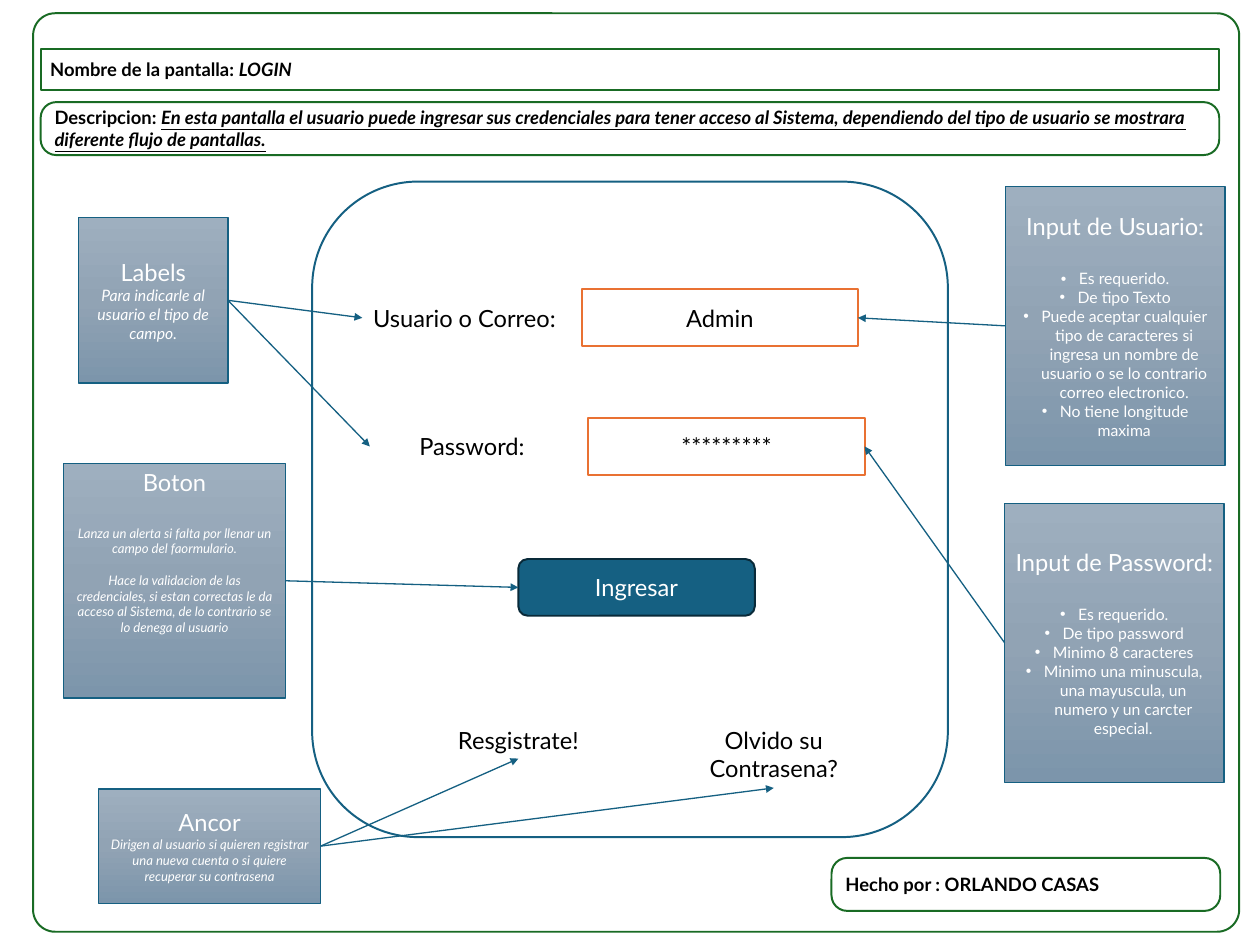
from copy import deepcopy
from dataclasses import dataclass

from lxml import etree
from pptx import Presentation
from pptx import util as u
from pptx.dml.color import RGBColor
from pptx.enum import shapes, text
from pptx.oxml.ns import qn


@dataclass(frozen=True)
class Theme:
    font: str = "Lato"
    white: str = "FFFFFF"
    black: str = "000000"
    green: str = "196B24"
    blue: str = "156082"
    navy: str = "092A39"
    orange: str = "E97132"
    note_gradient: tuple = ("9EAFBF", "91A3B4", "7C95AB")
    heading: float = 18
    banner: float = 14
    listing: float = 12
    small: float = 10
    border: float = 1.5
    thin: float = 1


THEME = Theme()
RECT = shapes.MSO_SHAPE.RECTANGLE
ROUND = shapes.MSO_SHAPE.ROUNDED_RECTANGLE
CENTER, LEFT = text.PP_ALIGN.CENTER, text.PP_ALIGN.LEFT
MIDDLE, TOP = text.MSO_ANCHOR.MIDDLE, text.MSO_ANCHOR.TOP
TOP_SITE, LEFT_SITE, BOTTOM_SITE, RIGHT_SITE = range(4)
BANNER_CORNER = 0.296


def apply(target, formats):
    for name, value in formats.items():
        setattr(target, name, value)


def place(shape, box):
    apply(shape, dict(zip(("left", "top", "width", "height"), map(u.Inches, box))))


def outline(shape, color, width):
    shape.line.color.rgb = RGBColor.from_string(color)
    shape.line.width = u.Pt(width)


def add_panel(slide, box, kind, line, fill=THEME.white, corner=None):
    panel = slide.shapes.add_shape(kind, *map(u.Inches, box))
    panel.shadow.inherit = False
    panel.fill.solid()
    panel.fill.fore_color.rgb = RGBColor.from_string(fill)
    outline(panel, line, THEME.border)
    if corner is not None:
        panel.adjustments[0] = corner
    return panel


def write(paragraph, runs, size, color, align=CENTER, after=0):
    """Fill a paragraph with (wording, font formats) runs."""
    apply(paragraph, {"alignment": align, "space_before": u.Pt(0),
                      "space_after": u.Pt(after)})
    for wording, formats in runs:
        run = paragraph.add_run()
        run.text = wording
        apply(run.font, {"name": THEME.font, "size": u.Pt(size), **formats})
        run.font.color.rgb = RGBColor.from_string(color)


def set_frame(shape, anchor=MIDDLE, fit=text.MSO_AUTO_SIZE.NONE):
    apply(shape.text_frame, {"word_wrap": True, "auto_size": fit,
                             "vertical_anchor": anchor})


def set_bullet(paragraph, bulleted):
    indent = u.Inches(0.19) if bulleted else 0
    properties = paragraph._p.get_or_add_pPr()
    properties.set("marL", str(indent))
    properties.set("indent", str(-indent))
    if bulleted:
        etree.SubElement(properties, qn("a:buChar")).set("char", "•")
    else:
        etree.SubElement(properties, qn("a:buNone"))


# Banners: screen name, description and author
def build_banner(shape, runs):
    set_frame(shape)
    write(shape.text_frame.paragraphs[0], runs, THEME.banner, THEME.black, LEFT)


def build_title(title, box, runs):
    place(title, box)
    geometry = etree.SubElement(title._element.spPr, qn("a:prstGeom"), prst="roundRect")
    guides = etree.SubElement(geometry, qn("a:avLst"))
    etree.SubElement(guides, qn("a:gd"), name="adj",
                     fmla=f"val {round(BANNER_CORNER * 100000)}")
    title.fill.solid()
    title.fill.fore_color.rgb = RGBColor.from_string(THEME.white)
    outline(title, THEME.green, THEME.border)
    build_banner(title, runs)


# Login screen mock-up
def build_login(slide, box):
    left, top = box[:2]
    add_panel(slide, box, ROUND, THEME.blue)

    def label(wording, x, y, height=0.4):
        caption = slide.shapes.add_textbox(
            *map(u.Inches, (left + x, top + y, 2.16, height)))
        set_frame(caption, TOP, text.MSO_AUTO_SIZE.SHAPE_TO_FIT_TEXT)
        write(caption.text_frame.paragraphs[0], [(wording, {})],
              THEME.heading, THEME.black)
        return caption

    def control(wording, x, y, width, kind, line, fill, color):
        field = add_panel(slide, (left + x, top + y, width, 0.6), kind, line, fill)
        set_frame(field)
        write(field.text_frame.paragraphs[0], [(wording, {})], THEME.heading, color)
        return field

    entry = (2.92, RECT, THEME.orange, THEME.white, THEME.black)
    return {
        "user_label": label("Usuario o Correo:", 0.53, 1.24),
        "user": control("Admin", 2.85, 1.14, *entry),
        "password_label": label("Password:", 0.61, 2.6),
        "password": control("*********", 2.92, 2.5, *entry),
        "enter": control("Ingresar", 2.18, 3.99, 2.5, ROUND,
                         THEME.navy, THEME.blue, THEME.white),
        "register": label("Resgistrate!", 1.1, 5.7),
        "forgot": label("Olvido su Contrasena?", 3.8, 5.7, 0.71),
    }


# Explanatory notes
def build_note(note, box, heading, lines, size, bulleted=False,
               heading_gap=0, line_gap=0, anchor=MIDDLE):
    place(note, box)
    note.fill.gradient()
    note.fill.gradient_angle = 270
    first = note.fill.gradient_stops[0]._gs
    first.addnext(deepcopy(first))
    for i, color in enumerate(THEME.note_gradient):
        stop = note.fill.gradient_stops[i]
        stop.position = i / 2
        stop.color.rgb = RGBColor.from_string(color)
    outline(note, THEME.blue, THEME.thin)
    set_frame(note, anchor)
    title = note.text_frame.paragraphs[0]
    write(title, [(heading, {})], THEME.heading, THEME.white, after=heading_gap)
    set_bullet(title, False)
    for line in lines:
        paragraph = note.text_frame.add_paragraph()
        write(paragraph, [(line, {"italic": not bulleted})], size, THEME.white,
              after=line_gap if line is not lines[-1] else 0)
        set_bullet(paragraph, bulleted)
    return note


def link(slide, note, note_site, target, target_site):
    arrow = slide.shapes.add_connector(shapes.MSO_CONNECTOR.STRAIGHT, 0, 0, 0, 0)
    arrow.begin_connect(note, note_site)
    arrow.end_connect(target, target_site)
    outline(arrow, THEME.blue, THEME.thin)
    etree.SubElement(arrow.line._get_or_add_ln(), qn("a:tailEnd"), type="triangle")
    etree.SubElement(arrow._element.spPr, qn("a:effectLst"))


def build_slide(slide):
    title, user_list, password_list = slide.placeholders

    # Outer frame, behind everything else
    frame = add_panel(slide, (0.35, 0.14, 12.75, 9.71), ROUND, THEME.green, corner=0.024)
    slide.shapes._spTree.insert(2, frame._element)

    bold = {"bold": True}
    slanted = {"bold": True, "italic": True}
    build_title(title, (0.43, 0.52, 12.46, 0.43),
                [("Nombre de la pantalla: ", bold), ("LOGIN", slanted)])
    banners = [
        ((0.43, 1.08, 12.46, 0.56), [
            ("Descripcion: ", bold),
            ("En esta pantalla el usuario puede ingresar sus credenciales para tener "
             "acceso al Sistema, dependiendo del tipo de usuario se mostrara diferente "
             "flujo de pantallas.", {**slanted, "underline": True})]),
        ((8.79, 9.07, 4.11, 0.56), [("Hecho por : ORLANDO CASAS", bold)]),
    ]
    for box, runs in banners:
        build_banner(add_panel(slide, box, ROUND, THEME.green, corner=BANNER_CORNER), runs)

    login = build_login(slide, (3.3, 1.92, 6.72, 6.93))

    # Notes on the left
    def side_note(box, *content, **layout):
        return build_note(add_panel(slide, box, RECT, THEME.blue), box, *content, **layout)

    labels = side_note((0.83, 2.3, 1.58, 1.75), "Labels",
                       ["Para indicarle al usuario el tipo de campo."], THEME.listing)
    button = side_note(
        (0.67, 4.9, 2.35, 2.48), "Boton",
        ["Lanza un alerta si falta por llenar un campo del faormulario.",
         "Hace la validacion de las credenciales, si estan correctas le da acceso al "
         "Sistema, de lo contrario se lo denega al usuario"],
        THEME.small, heading_gap=21.6, line_gap=12, anchor=TOP)
    anchor_note = side_note(
        (1.04, 8.34, 2.35, 1.21), "Ancor",
        ["Dirigen al usuario si quieren registrar una nueva cuenta o si quiere "
         "recuperar su contrasena"], THEME.small)

    # Input rules on the right
    rules = {"size": THEME.listing, "bulleted": True, "heading_gap": 21.6}
    build_note(user_list, (10.63, 1.97, 2.32, 2.95), "Input de Usuario:", [
        "Es requerido.", "De tipo Texto",
        "Puede aceptar cualquier tipo de caracteres si ingresa un nombre de usuario "
        "o se lo contrario correo electronico.",
        "No tiene longitude maxima"], **rules)
    build_note(password_list, (10.62, 5.32, 2.32, 2.95), "Input de Password:", [
        "Es requerido.", "De tipo password", "Minimo 8 caracteres",
        "Minimo una minuscula, una mayuscula, un numero y un carcter especial."], **rules)

    # Arrows from each note to its part of the screen
    for note, note_site, part, part_site in [
        (labels, RIGHT_SITE, "user_label", LEFT_SITE),
        (labels, RIGHT_SITE, "password_label", LEFT_SITE),
        (user_list, LEFT_SITE, "user", RIGHT_SITE),
        (password_list, LEFT_SITE, "password", RIGHT_SITE),
        (button, RIGHT_SITE, "enter", LEFT_SITE),
        (anchor_note, RIGHT_SITE, "register", BOTTOM_SITE),
        (anchor_note, RIGHT_SITE, "forgot", BOTTOM_SITE),
    ]:
        link(slide, note, note_site, login[part], part_site)


def main():
    deck = Presentation()
    apply(deck, {"slide_width": u.Inches(13.32), "slide_height": u.Inches(9.99)})
    build_slide(deck.slides.add_slide(deck.slide_layouts[3]))
    deck.save("out.pptx")


if __name__ == "__main__":
    main()
